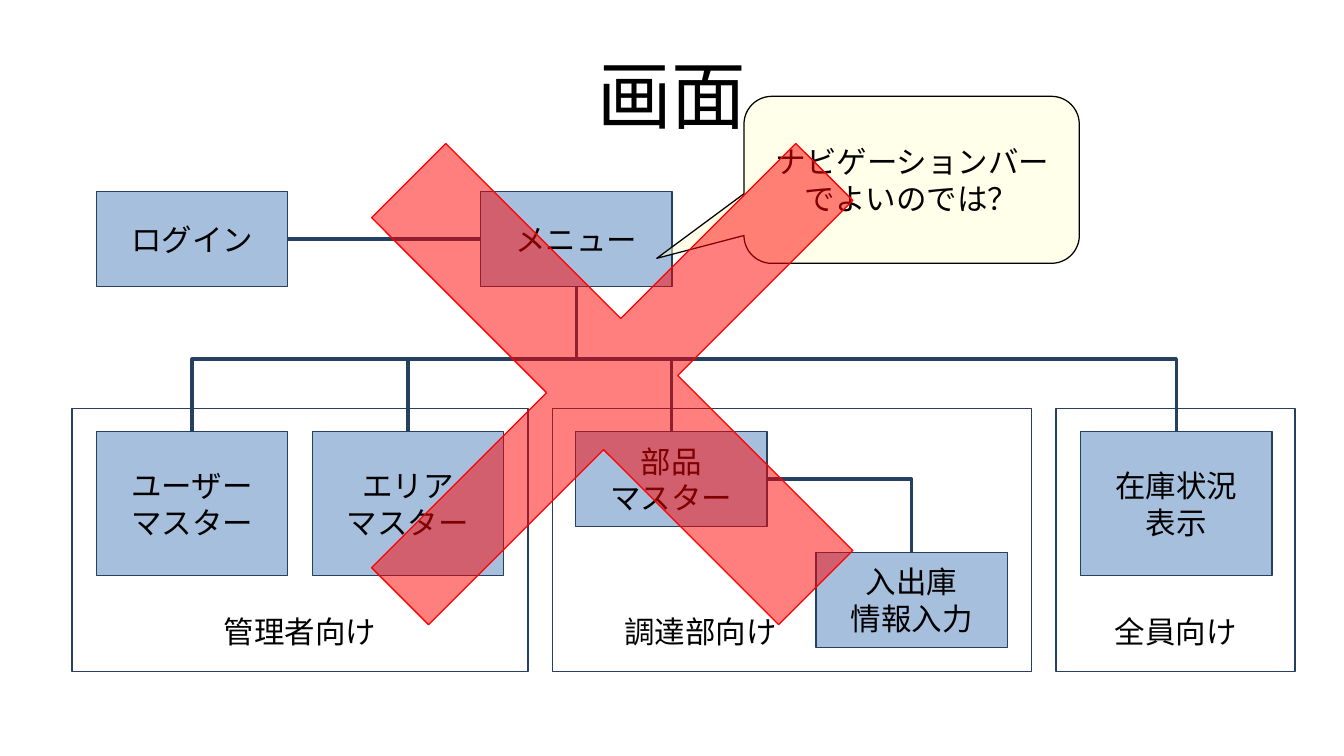
from lxml import etree
from pptx import Presentation
from pptx.dml.color import RGBColor
from pptx.enum import shapes, text
from pptx.oxml.ns import qn
from pptx.util import Inches, Pt

BLACK = RGBColor(0x00, 0x00, 0x00)
BLUE = RGBColor(0x4F, 0x81, 0xBD)
NAVY = RGBColor(0x25, 0x40, 0x61)
CREAM = RGBColor(0xFF, 0xFF, 0xD7)
RED = RGBColor(0xFF, 0x00, 0x00)

TITLE = "画面"
BOX_WIDTH, LOW, TALL = 1.57, 0.78, 1.18
SCREENS = {
    "login": ("ログイン", 0.79, 1.57, LOW),
    "menu": ("メニュー", 3.94, 1.57, LOW),
    "parts": ("部品\nマスター", 4.72, 3.54, LOW),
    "areas": ("エリア\nマスター", 2.56, 3.54, TALL),
    "users": ("ユーザー\nマスター", 0.79, 3.54, TALL),
    "stock_entry": ("入出庫\n情報入力", 6.69, 4.53, LOW),
    "stock_view": ("在庫状況\n表示", 8.86, 3.54, TALL),
}
MENU_TARGETS = ["users", "areas", "parts", "stock_view"]
GROUP_TOP, GROUP_HEIGHT = 3.35, 2.16
GROUPS = [
    ("管理者向け", 0.59, 3.74, 0.1),
    ("調達部向け", 4.53, 3.93, 1.6),
    ("全員向け", 8.66, 1.96, 0.1),
]
CALLOUT = "ナビゲーションバーでよいのでは？"
TOP_SITE, LEFT_SITE, BOTTOM_SITE, RIGHT_SITE = range(4)


def style_text(frame, size):
    """Centre the text of a frame and set its font."""
    frame.word_wrap = True
    for para in frame.paragraphs:
        para.alignment = text.PP_ALIGN.CENTER
        para.font.size = Pt(size)
        para.font.name = "Arial"
        para.font.color.rgb = BLACK


def add_block(page, kind, place, words="", fill=None, line=NAVY):
    """Add a hairline shape with an optional half-transparent fill."""
    block = page.shapes.add_shape(kind, *map(Inches, place))
    block.shadow.inherit = False
    block.line.color.rgb = line
    block.line.width = Pt(0)
    if fill is None:
        block.fill.background()
    else:
        block.fill.solid()
        block.fill.fore_color.rgb = fill
        color = block.fill._xPr.find(qn("a:solidFill"))[0]
        etree.SubElement(color, qn("a:alpha")).set("val", "50000")
    block.text_frame.text = words
    block.text_frame.vertical_anchor = text.MSO_ANCHOR.MIDDLE
    style_text(block.text_frame, 18)
    return block


def link(page, kind, start, start_site, end, end_site):
    """Glue a hairline connector between two boxes."""
    wire = page.shapes.add_connector(kind, 0, 0, 0, 0)
    wire.begin_connect(start, start_site)
    wire.end_connect(end, end_site)
    wire.line.color.rgb = NAVY
    wire.line.width = Pt(0)
    etree.SubElement(wire._element.spPr, qn("a:effectLst"))
    return wire


def turn_downward(wire):
    """Rotate an elbow so that it leaves its start vertically."""
    rightward = wire.end_x > wire.begin_x
    center_x = (wire.begin_x + wire.end_x) // 2
    center_y = (wire.begin_y + wire.end_y) // 2
    wire.width, wire.height = wire.height, wire.width
    wire.left = center_x - wire.width // 2
    wire.top = center_y - wire.height // 2
    frame = wire._element.spPr.find(qn("a:xfrm"))
    frame.set("rot", str((270 if rightward else 90) * 60000))
    frame.set("flipH", "1" if rightward else "0")


def main():
    """Build the screen map and save it."""
    deck = Presentation()
    deck.slide_width, deck.slide_height = Inches(11.02), Inches(6.2)
    page = deck.slides.add_slide(deck.slide_layouts[5])

    title = page.shapes.title
    title.left, title.top = Inches(0.55), Inches(0.25)
    title.width, title.height = Inches(9.92), Inches(1.03)
    title.text_frame.text = TITLE
    title.text_frame.vertical_anchor = text.MSO_ANCHOR.MIDDLE
    title.text_frame.auto_size = text.MSO_AUTO_SIZE.NONE
    style_text(title.text_frame, 44)

    kinds, wires = shapes.MSO_SHAPE, shapes.MSO_CONNECTOR
    boxes = {
        name: add_block(page, kinds.RECTANGLE, (left, top, BOX_WIDTH, height), words, BLUE)
        for name, (words, left, top, height) in SCREENS.items()
    }

    link(page, wires.STRAIGHT, boxes["login"], RIGHT_SITE, boxes["menu"], LEFT_SITE)
    for name in MENU_TARGETS:
        turn_downward(link(page, wires.ELBOW, boxes["menu"], BOTTOM_SITE, boxes[name], TOP_SITE))
    corner = link(page, wires.ELBOW, boxes["parts"], RIGHT_SITE, boxes["stock_entry"], TOP_SITE)
    corner._element.spPr.find(qn("a:prstGeom")).set("prst", "bentConnector2")

    for words, left, width, right_margin in GROUPS:
        place = (left, GROUP_TOP, width, GROUP_HEIGHT)
        frame = add_block(page, kinds.RECTANGLE, place, words).text_frame
        frame.vertical_anchor = text.MSO_ANCHOR.BOTTOM
        frame.margin_bottom = Inches(0.18)
        frame.margin_right = Inches(right_margin)

    callout = add_block(page, kinds.ROUNDED_RECTANGULAR_CALLOUT, (6.1, 0.79, 2.75, 1.37),
                        CALLOUT, CREAM, BLACK)
    callout.adjustments[0] = -0.76
    callout.adjustments[1] = 0.47

    cross = add_block(page, kinds.CROSS, (2.56, 0.79, 4.92, 4.72), fill=RED, line=RED)
    cross.adjustments[0] = 0.43
    cross.rotation = 315

    deck.save("out.pptx")


if __name__ == "__main__":
    main()
